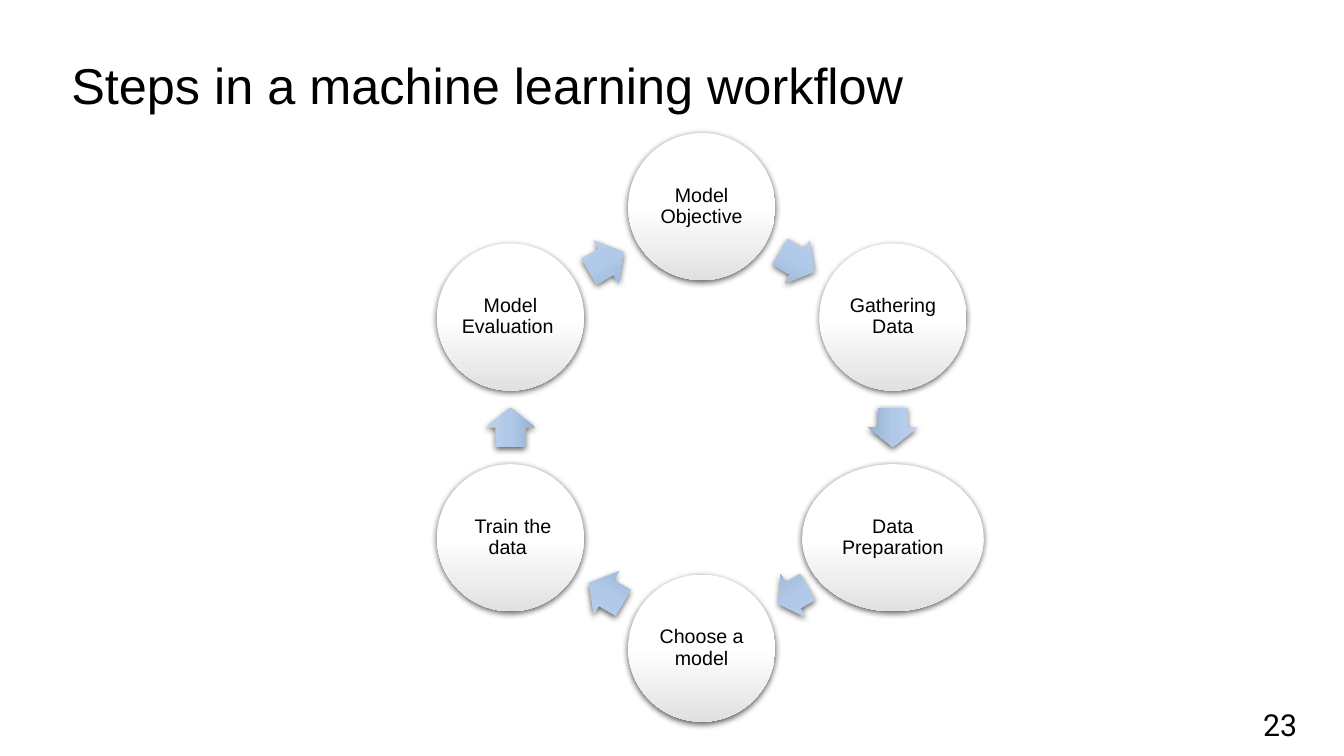
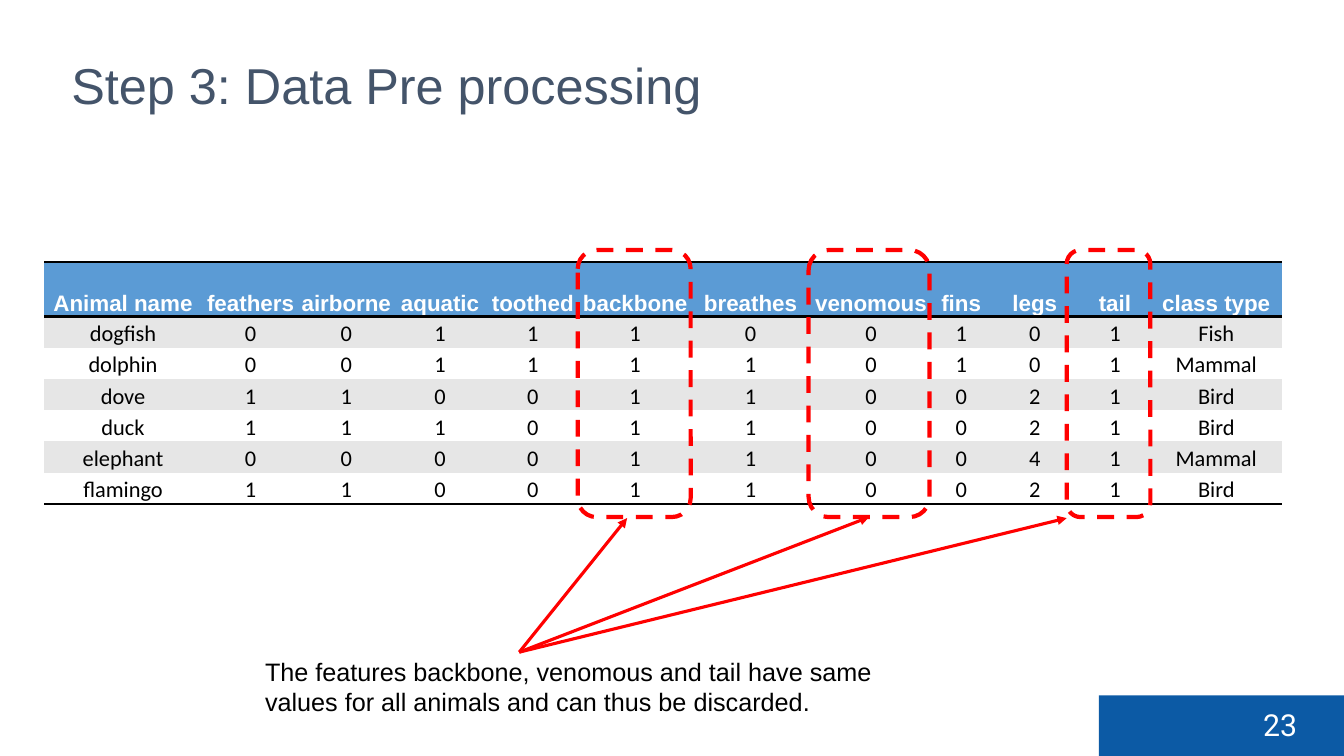
import math
from dataclasses import dataclass

import lxml.etree
import pptx
import pptx.dml.color
import pptx.enum.dml
import pptx.enum.shapes
import pptx.enum.text
import pptx.oxml
import pptx.oxml.ns
import pptx.util
from pptx.util import Inches

ALIGN = pptx.enum.text.PP_ALIGN
ANCHOR = pptx.enum.text.MSO_ANCHOR
SHAPE = pptx.enum.shapes.MSO_SHAPE
qn = pptx.oxml.ns.qn


@dataclass(frozen=True)
class Theme:
    black: str = "000000"
    white: str = "FFFFFF"
    slate: str = "44546A"
    footer_blue: str = "0C5AA5"
    header_blue: str = "5B9BD5"
    stripe: str = "E6E6E6"
    red: str = "FF0000"
    circle: tuple[str, ...] = ("FFFFFF", "FFFFFF", "E1E1E1")
    arrow: tuple[str, ...] = ("BDD0E9", "B0C9E9", "96B0D1")
    font: str = "Arial"
    cell_font: str = "Calibri"
    number_font: str = "Roboto"
    title_size: float = 36
    number_size: float = 21.6
    caption_size: float = 18
    table_size: float = 16
    step_size: float = 14


@dataclass(frozen=True)
class Step:
    label: str
    width: float = 1.46
    arrow_length: float = 0.39
    arrow_shift: float = 0


@dataclass(frozen=True)
class Highlight:
    left: float
    width: float
    arrow_x: float


THEME = Theme()
PAGE_NUMBER = "23"

STEPS = [
    Step("Model Objective"),
    Step("Gathering Data"),
    Step("Data Preparation", width=1.8, arrow_length=0.33, arrow_shift=0.05),
    Step("Choose a model"),
    Step(" Train the data "),
    Step("Model Evaluation "),
]
RING_X, RING_Y, RING_RADIUS = 6.96, 4.24, 2.19
CIRCLE_HEIGHT, ARROW_HEIGHT = 1.46, 0.49

FEATURES = ["Animal name", "feathers", "airborne", "aquatic", "toothed", "backbone",
            "breathes", "venomous", "fins", "legs", "tail", "class type"]
ANIMALS = [
    ("dogfish", "0011100101", "Fish"),
    ("dolphin", "0011110101", "Mammal"),
    ("dove", "1100110021", "Bird"),
    ("duck", "1110110021", "Bird"),
    ("elephant", "0000110041", "Mammal"),
    ("flamingo", "1100110021", "Bird"),
]
ANIMALS[0] = ("dogfish", "0011100101", "Fish")
ANIMALS[1] = ("dolphin", "0011110101", "Mammal")
COLUMN_WIDTHS = [1.56, 0.97, 0.93, 0.93, 0.91, 1.12, 1.17, 1.22, 0.57, 0.89, 0.7, 1.31]
HEADER_HEIGHT, ROW_HEIGHT = 0.54, 0.31

HIGHLIGHTS = [Highlight(5.73, 1.12, 6.22), Highlight(8.02, 1.2, 8.62), Highlight(10.58, 0.83, 10.58)]
HIGHLIGHT_TOP, HIGHLIGHT_HEIGHT = 2.48, 2.65


def rgb(color: str) -> pptx.dml.color.RGBColor:
    return pptx.dml.color.RGBColor.from_string(color)


def write(frame, text: str, *, size: float, color: str = THEME.black, font: str = THEME.font,
          bold: bool = False, align=ALIGN.LEFT, spacing: float | None = None) -> None:
    paragraph = frame.paragraphs[0]
    paragraph.alignment = align
    paragraph.line_spacing = spacing
    run = paragraph.add_run()
    run.text = text
    run.font.size = pptx.util.Pt(size)
    run.font.name = font
    run.font.bold = bold
    run.font.color.rgb = rgb(color)


def add_label(slide, left: float, top: float, width: float, height: float, text: str, **style) -> None:
    frame = slide.shapes.add_textbox(Inches(left), Inches(top), Inches(width), Inches(height)).text_frame
    frame.word_wrap = True
    write(frame, text, **style)


def add_centered(slide, kind, x: float, y: float, width: float, height: float):
    shape = slide.shapes.add_shape(kind, Inches(x - width / 2), Inches(y - height / 2),
                                   Inches(width), Inches(height))
    shape.line.fill.background()
    shape.shadow.inherit = False
    return shape


def add_glossy(slide, kind, x: float, y: float, width: float, height: float, colors: tuple[str, ...]):
    shape = add_centered(slide, kind, x, y, width, height)
    shape.fill.gradient()
    shape.fill.gradient_angle = 270
    properties = shape._element.spPr
    stops = properties.find(".//" + qn("a:gsLst"))
    for stop in list(stops):
        stops.remove(stop)
    for index, color in enumerate(colors):
        stop = lxml.etree.SubElement(stops, qn("a:gs"), pos=str(index * 50000))
        lxml.etree.SubElement(stop, qn("a:srgbClr"), val=color)
    shadow = lxml.etree.SubElement(properties.find(qn("a:effectLst")), qn("a:outerShdw"),
                                   blurRad="57150", dist="19050", dir="5400000",
                                   algn="ctr", rotWithShape="0")
    tint = lxml.etree.SubElement(shadow, qn("a:srgbClr"), val=THEME.black)
    lxml.etree.SubElement(tint, qn("a:alpha"), val="63000")
    return shape


def add_slide(deck, title: str, title_color: str, number_color: str, banded: bool):
    slide = deck.slides.add_slide(deck.slide_layouts[6])
    add_label(slide, 0.61, 0.49, 10.8, 0.7, title, size=THEME.title_size, color=title_color)
    if banded:
        band = add_centered(slide, SHAPE.RECTANGLE, 12.115, 7.2, 2.43, 0.6)
        band.fill.solid()
        band.fill.fore_color.rgb = rgb(THEME.footer_blue)
    add_label(slide, 12.43, 6.96, 0.54, 0.46, PAGE_NUMBER, size=THEME.number_size,
              color=number_color, font=THEME.number_font)
    return slide


def add_step(slide, index: int, step: Step) -> None:
    turn = 360 / len(STEPS)
    angle = math.radians(turn * index - 90)
    circle = add_glossy(slide, SHAPE.OVAL, RING_X + RING_RADIUS * math.cos(angle),
                        RING_Y + RING_RADIUS * math.sin(angle), step.width, CIRCLE_HEIGHT, THEME.circle)
    frame = circle.text_frame
    frame.word_wrap = True
    frame.vertical_anchor = ANCHOR.MIDDLE
    frame.margin_left = frame.margin_right = frame.margin_top = frame.margin_bottom = Inches(0.02)
    write(frame, step.label, size=THEME.step_size, align=ALIGN.CENTER, spacing=0.9)

    midway = angle + math.radians(turn / 2)
    heading = midway + math.pi / 2
    reach = RING_RADIUS * math.cos(math.radians(turn / 2))
    arrow = add_glossy(slide, SHAPE.RIGHT_ARROW,
                       RING_X + reach * math.cos(midway) + step.arrow_shift * math.cos(heading),
                       RING_Y + reach * math.sin(midway) + step.arrow_shift * math.sin(heading),
                       step.arrow_length, ARROW_HEIGHT, THEME.arrow)
    arrow.adjustments[0] = 0.6
    arrow.adjustments[1] = 0.5
    arrow.rotation = turn * (index + 0.5)


def add_rule(cell, edges: list[str]) -> None:
    for position, edge in enumerate(edges):
        line = lxml.etree.Element(qn(f"a:{edge}"), w=str(pptx.util.Pt(2)))
        paint = lxml.etree.SubElement(line, qn("a:solidFill"))
        lxml.etree.SubElement(paint, qn("a:srgbClr"), val=THEME.black)
        cell._tc.get_or_add_tcPr().insert(position, line)


def add_animal_table(slide) -> None:
    rows = [FEATURES] + [[name, *values, kind] for name, values, kind in ANIMALS]
    table = slide.shapes.add_table(len(rows), len(FEATURES), Inches(0.44), Inches(2.6),
                                   Inches(sum(COLUMN_WIDTHS)),
                                   Inches(HEADER_HEIGHT + ROW_HEIGHT * len(ANIMALS))).table
    table.horz_banding = False
    table._tbl.tblPr.find(qn("a:tableStyleId")).text = "{2D5ABB26-0587-4C30-8999-92F81FD0307C}"
    for column, width in zip(table.columns, COLUMN_WIDTHS):
        column.width = Inches(width)
    for row_index, values in enumerate(rows):
        header = row_index == 0
        fill = THEME.header_blue if header else THEME.stripe if row_index % 2 else THEME.white
        table.rows[row_index].height = Inches(HEADER_HEIGHT if header else ROW_HEIGHT)
        for cell, value in zip(table.rows[row_index].cells, values):
            cell.margin_left = cell.margin_right = cell.margin_top = Inches(0.01)
            cell.margin_bottom = 0
            cell.vertical_anchor = ANCHOR.BOTTOM
            cell.fill.solid()
            cell.fill.fore_color.rgb = rgb(fill)
            write(cell.text_frame, value, size=THEME.table_size, bold=header, align=ALIGN.CENTER,
                  color=THEME.white if header else THEME.black,
                  font=THEME.font if header else THEME.cell_font)
            if header:
                add_rule(cell, ["lnT", "lnB"])
            elif row_index == len(rows) - 1:
                add_rule(cell, ["lnB"])


def add_highlight(slide, highlight: Highlight):
    outline = add_centered(slide, SHAPE.ROUNDED_RECTANGLE, highlight.left + highlight.width / 2,
                           HIGHLIGHT_TOP + HIGHLIGHT_HEIGHT / 2, highlight.width, HIGHLIGHT_HEIGHT)
    outline.fill.background()
    outline.line.color.rgb = rgb(THEME.red)
    outline.line.width = pptx.util.Pt(3)
    outline.line.dash_style = pptx.enum.dml.MSO_LINE.DASH
    return outline


def add_pointer(slide, highlight: Highlight, outline) -> None:
    pointer = slide.shapes.add_connector(pptx.enum.shapes.MSO_CONNECTOR.STRAIGHT, Inches(5.15), Inches(6.47),
                                         Inches(highlight.arrow_x), Inches(5.14))
    if math.isclose(highlight.arrow_x, highlight.left + highlight.width / 2):
        pointer.end_connect(outline, 2)
    pointer.line.color.rgb = rgb(THEME.red)
    pointer.line.width = pptx.util.Pt(2.25)
    lxml.etree.SubElement(pointer.line._get_or_add_ln(), qn("a:tailEnd"), type="triangle")
    lxml.etree.SubElement(pointer._element.spPr, qn("a:effectLst"))


def build_workflow(deck) -> None:
    slide = add_slide(deck, "Steps in a machine learning workflow", THEME.black, THEME.black, banded=False)
    for index, step in enumerate(STEPS):
        add_step(slide, index, step)


def build_preprocessing(deck) -> None:
    slide = add_slide(deck, "Step 3: Data Pre processing", THEME.slate, THEME.white, banded=True)
    add_animal_table(slide)
    outlines = [add_highlight(slide, highlight) for highlight in HIGHLIGHTS]
    for highlight, outline in zip(HIGHLIGHTS, outlines):
        add_pointer(slide, highlight, outline)
    add_label(slide, 2.53, 6.46, 6.69, 0.71,
              "The features backbone, venomous and tail have same values for all animals "
              "and can thus be discarded.", size=THEME.caption_size)


def main() -> None:
    deck = pptx.Presentation()
    deck.slide_width = Inches(13.33)
    deck.slide_height = Inches(7.5)
    build_workflow(deck)
    build_preprocessing(deck)
    deck.save("out.pptx")


if __name__ == "__main__":
    main()
